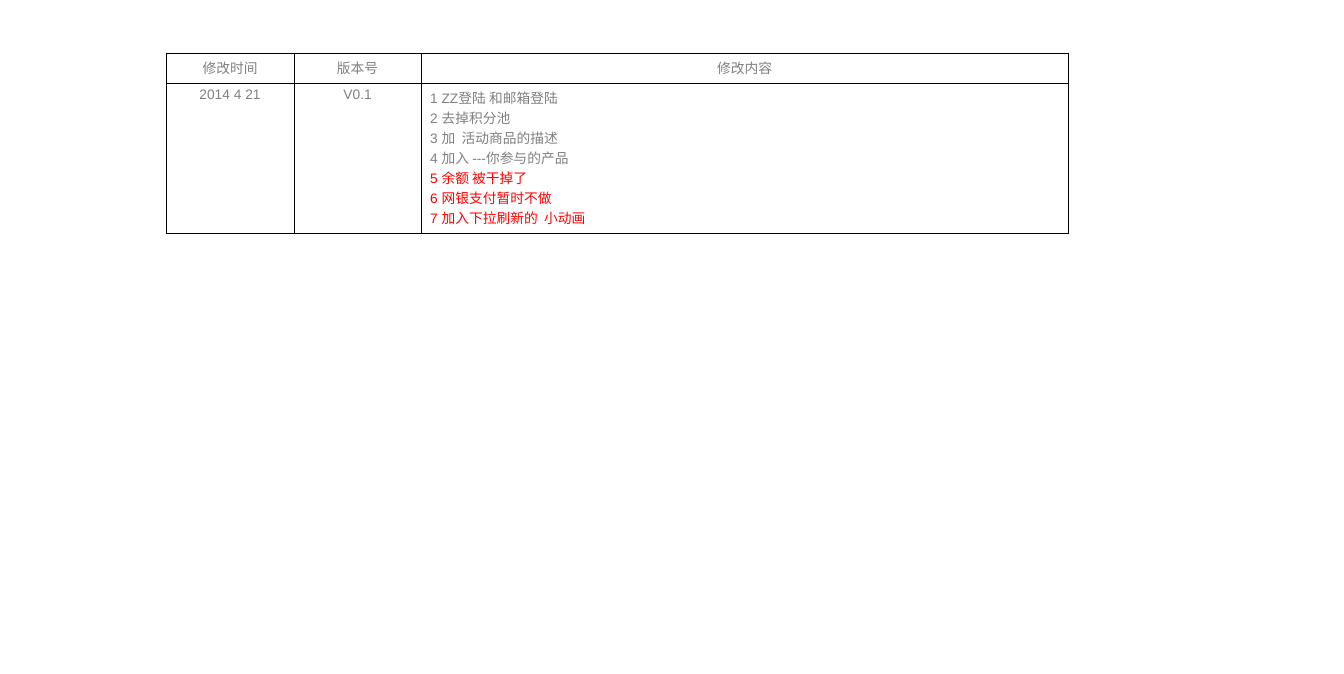
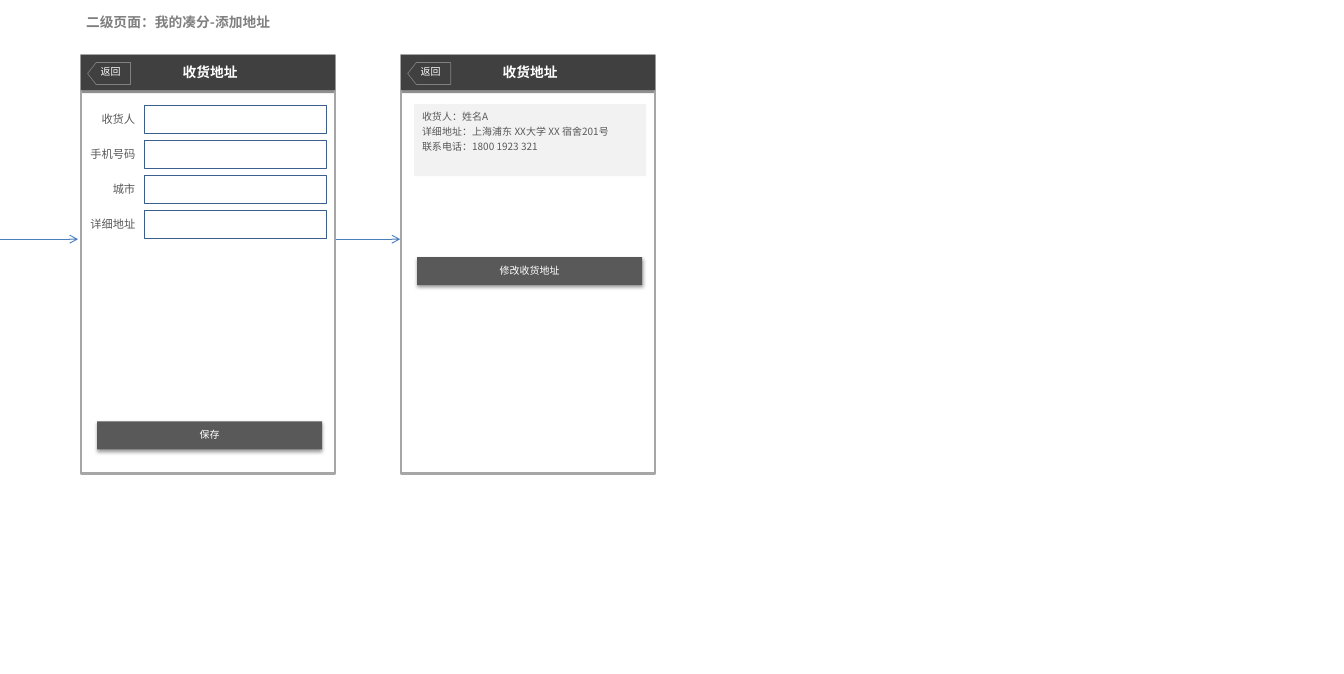
from dataclasses import dataclass
from typing import Optional

from lxml.etree import SubElement
from pptx import Presentation
from pptx.dml.color import RGBColor
from pptx.enum.shapes import MSO_CONNECTOR as Connector, MSO_SHAPE as Shape
from pptx.enum.text import MSO_ANCHOR as Anchor, MSO_AUTO_SIZE as AutoSize, PP_ALIGN as Align
from pptx.oxml.ns import qn
from pptx.util import Emu, Inches, Pt

# Shared scale, fonts and colours
EMU_PER_PIXEL = 914400 / 89.8
SANS = "Noto Sans CJK SC"
ARIAL = "Arial"
BLACK = RGBColor(0x00, 0x00, 0x00)
WHITE = RGBColor(0xFF, 0xFF, 0xFF)
RED = RGBColor(0xFF, 0x00, 0x00)
HEADER_GRAY = RGBColor(0x40, 0x40, 0x40)
BUTTON_GRAY = RGBColor(0x59, 0x59, 0x59)
TEXT_GRAY = RGBColor(0x80, 0x80, 0x80)
FRAME_GRAY = RGBColor(0xA6, 0xA6, 0xA6)
CARD_GRAY = RGBColor(0xF2, 0xF2, 0xF2)
FIELD_BLUE = RGBColor(0x3A, 0x5F, 0x8C)
ARROW_BLUE = RGBColor(0x4B, 0x7E, 0xBC)


@dataclass(frozen=True)
class Box:
    left: int
    top: int
    width: int
    height: int

    def emu(self) -> tuple:
        return tuple(px(n) for n in (self.left, self.top, self.width, self.height))


@dataclass(frozen=True)
class TextStyle:
    size: int
    color: RGBColor
    bold: bool = False
    align: Align = Align.LEFT
    spacing: float = 1.0
    font: str = SANS


@dataclass(frozen=True)
class Button:
    text: str
    top: int
    label_width: int


@dataclass(frozen=True)
class Phone:
    left: int
    button: Button


@dataclass(frozen=True)
class Arrow:
    start: int
    end: int


TITLE = TextStyle(11, TEXT_GRAY, bold=True, spacing=0.85)
HEADING = TextStyle(11, WHITE, bold=True, align=Align.CENTER)
CAPTION = TextStyle(8, WHITE, align=Align.CENTER)
FIELD_LABEL = TextStyle(9, BUTTON_GRAY, align=Align.RIGHT)
DETAIL = TextStyle(8, BUTTON_GRAY, spacing=1.25)
CELL_CENTER = TextStyle(11, TEXT_GRAY, align=Align.CENTER, font=ARIAL)
CELL_LEFT = TextStyle(11, TEXT_GRAY, font=ARIAL)
CELL_ALERT = TextStyle(11, RED, font=ARIAL)


def px(pixels: int) -> Emu:
    return Emu(round(pixels * EMU_PER_PIXEL))


# Text
def write_line(para, text: str, style: TextStyle) -> None:
    para.alignment = style.align
    para.line_spacing = style.spacing
    span = para.add_run()
    span.text = text
    span.font.size = Pt(style.size)
    span.font.bold = style.bold
    span.font.name = style.font
    span.font.color.rgb = style.color
    east_asian = SubElement(span.font._element, qn("a:ea"))
    east_asian.set("typeface", SANS)


def write_lines(frame, lines: list, style: TextStyle) -> None:
    for index, text in enumerate(lines):
        para = frame.add_paragraph() if index else frame.paragraphs[0]
        write_line(para, text, style)


def add_text(page, box: Box, lines: list, style: TextStyle, wrap: bool = False):
    frame = page.shapes.add_textbox(*box.emu()).text_frame
    frame.word_wrap = wrap
    write_lines(frame, lines, style)
    return frame


# Shapes
def add_shape(page, box: Box, fill: Optional[RGBColor] = None, line: Optional[RGBColor] = None,
              weight: float = 0.75, kind: Shape = Shape.RECTANGLE):
    shape = page.shapes.add_shape(kind, *box.emu())
    shape.shadow.inherit = False
    if fill is None:
        shape.fill.background()
    else:
        shape.fill.solid()
        shape.fill.fore_color.rgb = fill
    if line is None:
        shape.line.fill.background()
    else:
        shape.line.color.rgb = line
        shape.line.width = Pt(weight)
    return shape


def set_alpha(color_element, percent: int) -> None:
    SubElement(color_element, qn("a:alpha")).set("val", str(percent * 1000))


def add_drop_shadow(shape) -> None:
    effects = shape._element.spPr.find(qn("a:effectLst"))
    shadow = SubElement(effects, qn("a:outerShdw"), blurRad=str(Pt(3.1)), dist=str(Pt(1.6)),
                        dir="5400000", algn="t", rotWithShape="0")
    set_alpha(SubElement(shadow, qn("a:srgbClr"), val=str(BLACK)), 38)


def add_arrow(page, arrow: Arrow, y: int) -> None:
    line = page.shapes.add_connector(Connector.STRAIGHT, px(arrow.start), px(y), px(arrow.end), px(y))
    line.line.color.rgb = ARROW_BLUE
    line.line.width = Pt(0.75)
    SubElement(line.line._get_or_add_ln(), qn("a:tailEnd"), type="arrow")
    SubElement(line._element.spPr, qn("a:effectLst"))


def add_button(page, left: int, button: Button) -> None:
    box = Box(left, button.top, 225, 28)
    add_drop_shadow(add_shape(page, box, BUTTON_GRAY))
    label_left = left + (box.width - button.label_width) // 2
    add_text(page, Box(label_left, button.top + 3, button.label_width, 22), [button.text], CAPTION)


def add_phone(page, phone: Phone) -> None:
    left, top, width, bar = phone.left, 55, 254, 35
    band = add_shape(page, Box(left, top + 3, width, bar), HEADER_GRAY)
    set_alpha(band._element.spPr.find(qn("a:solidFill"))[0], 58)
    add_shape(page, Box(left, top, width, 418), line=FRAME_GRAY, weight=2)
    add_shape(page, Box(left, top, width, bar), HEADER_GRAY)
    add_text(page, Box(left + 92, 59, 74, 26), ["收货地址"], HEADING)
    add_text(page, Box(left + 10, 61, 39, 22), ["返回"], CAPTION)
    back = add_shape(page, Box(left + 17, 52, 22, 43), line=TEXT_GRAY, weight=0.5,
                     kind=Shape.FLOWCHART_OFFPAGE_CONNECTOR)
    back.rotation = 90
    add_button(page, left + 16, phone.button)


# Table cells
def format_cell(cell) -> None:
    cell.fill.background()
    properties = cell._tc.get_or_add_tcPr()
    for index, side in enumerate(("a:lnL", "a:lnR", "a:lnT", "a:lnB")):
        border = properties.makeelement(qn(side), w=str(Pt(1)))
        fill = SubElement(border, qn("a:solidFill"))
        SubElement(fill, qn("a:srgbClr"), val=str(BLACK))
        properties.insert(index, border)


# Revision history slide
def build_history(deck) -> None:
    page = deck.slides.add_slide(deck.slide_layouts[6])
    widths, heights = (128, 127, 647), (30, 150)
    box = Box(166, 53, sum(widths), sum(heights))
    table = page.shapes.add_table(len(heights), len(widths), *box.emu()).table
    table.first_row = table.horz_banding = False
    for column, width in zip(table.columns, widths):
        column.width = px(width)
    for row, height in zip(table.rows, heights):
        row.height = px(height)
    for cell in table.iter_cells():
        format_cell(cell)

    rows = (("修改时间", "版本号", "修改内容"), ("2014 4 21", "V0.1"))
    for row_index, texts in enumerate(rows):
        for column_index, text in enumerate(texts):
            write_lines(table.cell(row_index, column_index).text_frame, [text], CELL_CENTER)

    changes = (
        ("1 ZZ登陆 和邮箱登陆", CELL_LEFT),
        ("2 去掉积分池", CELL_LEFT),
        ("3 加  活动商品的描述", CELL_LEFT),
        ("4 加入 ---你参与的产品", CELL_LEFT),
        ("5 余额 被干掉了", CELL_ALERT),
        ("6 网银支付暂时不做", CELL_ALERT),
        ("7 加入下拉刷新的  小动画", CELL_ALERT),
    )
    frame = table.cell(1, 2).text_frame
    for index, (text, style) in enumerate(changes):
        write_line(frame.add_paragraph() if index else frame.paragraphs[0], text, style)


# Delivery address slide
def build_address(deck) -> None:
    page = deck.slides.add_slide(deck.slide_layouts[5])
    title = page.shapes.title
    title.left, title.top, title.width, title.height = Box(77, 12, 205, 26).emu()
    title.text_frame.auto_size = AutoSize.NONE
    title.text_frame.word_wrap = True
    title.text_frame.vertical_anchor = Anchor.TOP
    write_lines(title.text_frame, ["二级页面：我的凑分-添加地址"], TITLE)

    form = Phone(81, Button("保存", 421, 39))
    summary = Phone(401, Button("修改收货地址", 257, 79))
    for phone in (form, summary):
        add_phone(page, phone)

    # Entry fields
    for index, label in enumerate(("收货人", "手机号码", "城市", "详细地址")):
        top = 105 + 35 * index
        frame = add_text(page, Box(form.left, top + 3, 63, 22), [label], FIELD_LABEL, wrap=True)
        frame.margin_left = 0
        add_shape(page, Box(144, top, 182, 28), WHITE, FIELD_BLUE)

    # Saved address
    add_shape(page, Box(414, 104, 232, 72), CARD_GRAY)
    details = ["收货人：姓名A", "详细地址：上海浦东 XX大学 XX 宿舍201号", "联系电话：1800 1923 321"]
    add_text(page, Box(413, 103, 230, 64), details, DETAIL, wrap=True)

    for arrow in (Arrow(0, 78), Arrow(336, 400)):
        add_arrow(page, arrow, 239)


deck = Presentation()
deck.slide_width, deck.slide_height = Inches(14.96), Inches(7.5)
build_history(deck)
build_address(deck)
deck.save("out.pptx")
